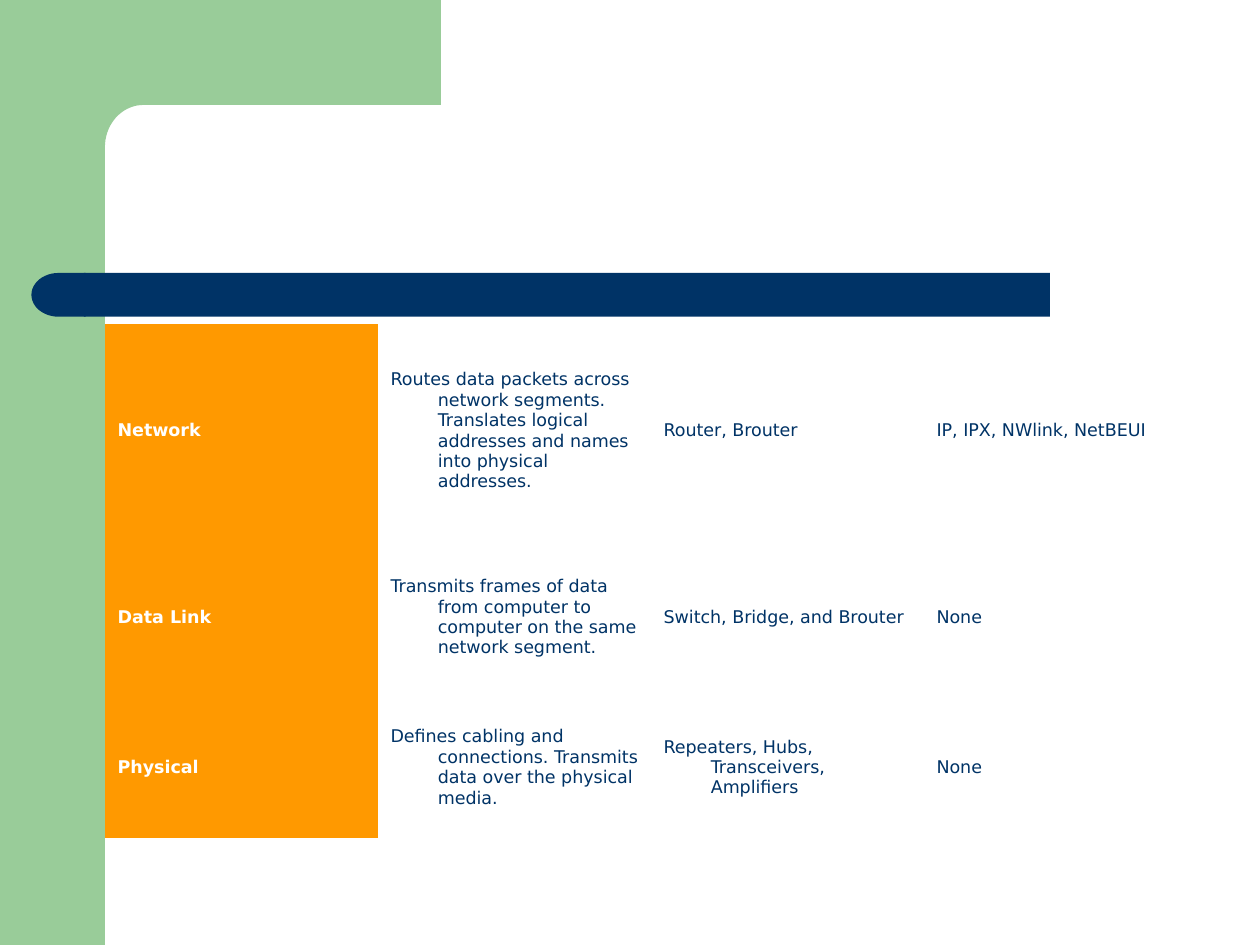
from math import cos, radians, sin

from pptx import Presentation
from pptx.dml.color import RGBColor
from pptx.enum.shapes import MSO_SHAPE as SHAPE
from pptx.enum.text import MSO_ANCHOR as ANCHOR
from pptx.util import Pt

GREEN = RGBColor(0x99, 0xCC, 0x99)
NAVY = RGBColor(0x00, 0x33, 0x66)
ORANGE = RGBColor(0xFF, 0x99, 0x00)
WHITE = RGBColor(0xFF, 0xFF, 0xFF)
NO_GRID_STYLE = "{2D5ABB26-0587-4C30-8999-92F81FD0307C}"

LAYERS = [
    ("Network",
     "Routes data packets across network segments. Translates logical "
     "addresses and names into physical addresses.",
     "Router, Brouter", "IP, IPX, NWlink, NetBEUI"),
    ("Data Link",
     "Transmits frames of data from computer to computer on the same "
     "network segment.",
     "Switch, Bridge, and Brouter", "None"),
    ("Physical",
     "Defines cabling and connections. Transmits data over the physical media.",
     "Repeaters, Hubs, Transceivers, Amplifiers", "None"),
]
ROW_HEIGHTS = [122.4, 90.7, 81]
COL_WIDTH = 156


def paint(sp, color):
    sp.fill.solid()
    sp.fill.fore_color.rgb = color
    sp.line.fill.background()
    sp.shadow.inherit = False


prs = Presentation()
prs.slide_width, prs.slide_height = Pt(720), Pt(540)
s = prs.slides.add_slide(prs.slide_layouts[6])

side_band = s.shapes.add_shape(SHAPE.RECTANGLE, 0, 0, Pt(60), Pt(540))
paint(side_band, GREEN)

curve = [(82 - 22 * sin(radians(a)), 84 - 24 * cos(radians(a)))
         for a in range(0, 91, 5)]
outline = [(252, 0), (252, 60), *curve, (60, 92), (36, 92)]
builder = s.shapes.build_freeform(Pt(36), 0)
builder.add_line_segments([(Pt(x), Pt(y)) for x, y in outline])
paint(builder.convert_to_shape(), GREEN)

bar = s.shapes.add_shape(SHAPE.ROUNDED_RECTANGLE, Pt(48), Pt(156), Pt(552), Pt(25))
bar.adjustments[0] = 0
paint(bar, NAVY)

bar_end = s.shapes.add_shape(SHAPE.FLOWCHART_DELAY, Pt(18), Pt(156), Pt(31), Pt(25))
bar_end._element.spPr.xfrm.set("flipH", "1")
paint(bar_end, NAVY)

frame = s.shapes.add_table(len(LAYERS), 4, Pt(60), Pt(185),
                           Pt(4 * COL_WIDTH), Pt(sum(ROW_HEIGHTS)))
table = frame.table
table.first_row = table.horz_banding = False
table._tbl.tblPr.find("{*}tableStyleId").text = NO_GRID_STYLE
for col in table.columns:
    col.width = Pt(COL_WIDTH)

for row, height, layer in zip(table.rows, ROW_HEIGHTS, LAYERS):
    row.height = Pt(height)
    for i, (cell, text) in enumerate(zip(row.cells, layer)):
        cell.text = text
        cell.vertical_anchor = ANCHOR.MIDDLE
        p = cell.text_frame.paragraphs[0]
        p.font.name, p.font.size = "DejaVu Sans", Pt(10)
        p.font.bold = i == 0
        p.font.color.rgb = NAVY if i else WHITE
        pPr = p._p.get_or_add_pPr()
        pPr.set("marL", str(Pt(27)))
        pPr.set("indent", str(-Pt(27)))
        if i:
            cell.fill.background()
        else:
            cell.fill.solid()
            cell.fill.fore_color.rgb = ORANGE

prs.save("out.pptx")
